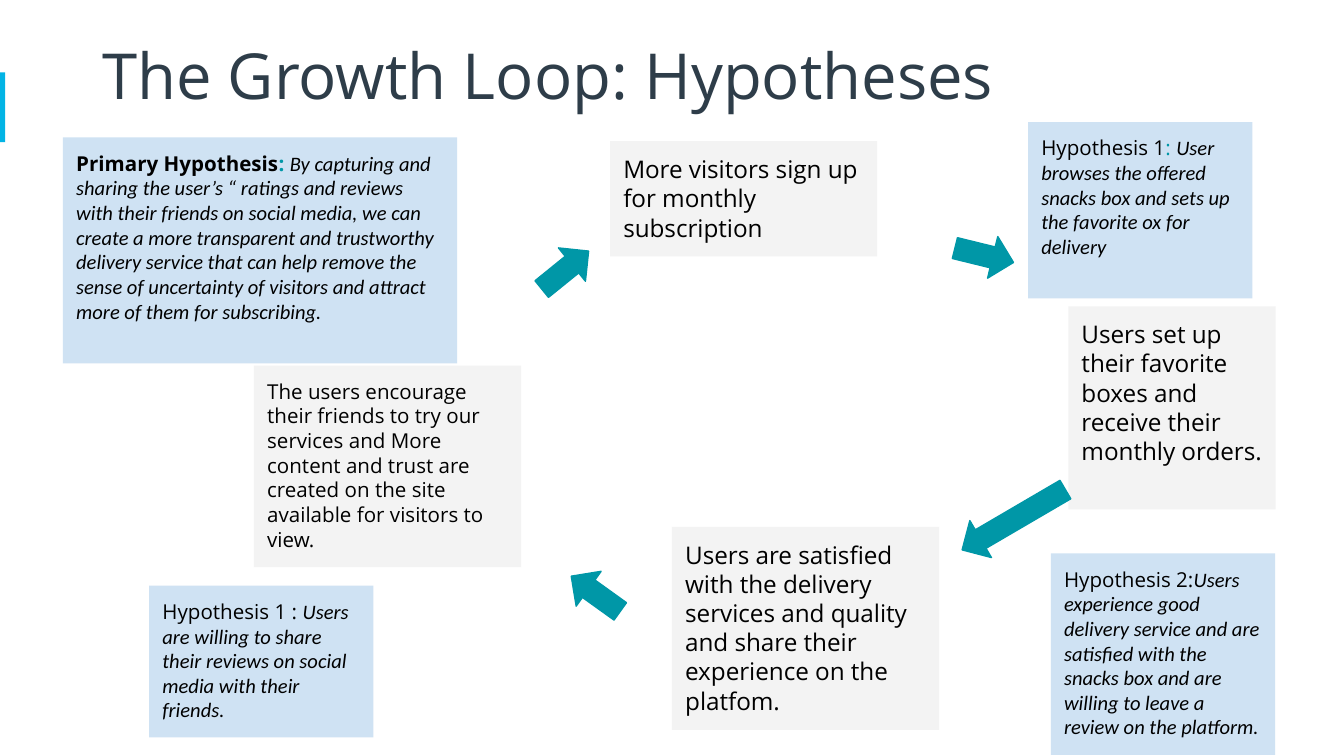
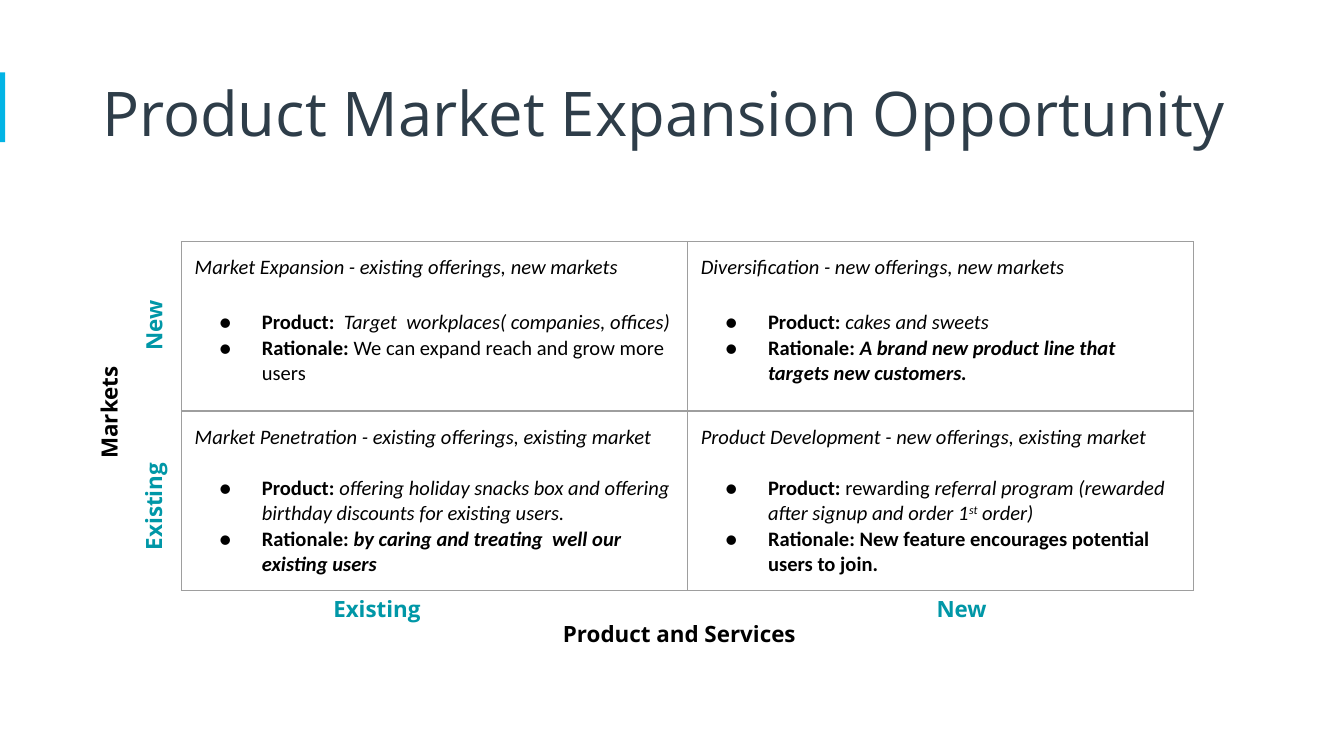
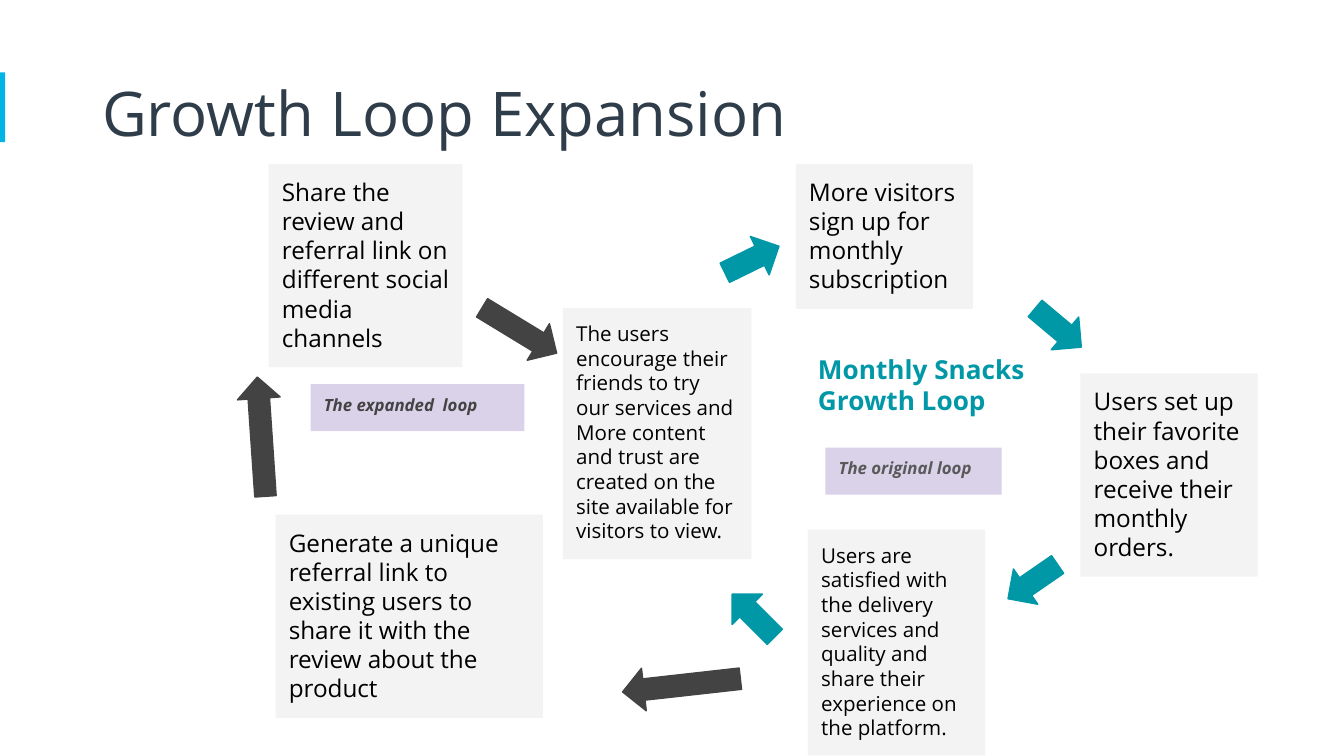
"""Build three slides on the growth loop of a snack box service."""
import dataclasses

import lxml.etree
import pptx
import pptx.dml.color
import pptx.enum.shapes
import pptx.enum.text
import pptx.oxml.ns
import pptx.util

Cm = pptx.util.Cm
Pt = pptx.util.Pt
SHAPES = pptx.enum.shapes.MSO_SHAPE
qn = pptx.oxml.ns.qn


@dataclasses.dataclass(frozen=True)
class Theme:
    """Colours, fonts and type sizes of the deck."""

    ink: str = "000000"
    title: str = "2E3D49"
    accent: str = "02B4E5"
    teal: str = "0097A7"
    step: str = "F3F3F3"
    hypothesis: str = "CFE2F3"
    tag: str = "D9D2E9"
    tag_ink: str = "595959"
    dark: str = "434343"
    border: str = "9E9E9E"
    sans: str = "Open Sans"
    humanist: str = "Calibri"
    large_title: int = 34
    title_size: int = 33
    loop_name: int = 14
    large: int = 13
    label: int = 12
    small: int = 11
    tag_size: int = 9
    border_width: float = 0.75


THEME = Theme()
ITALIC = {"bold": False, "italic": True}
BOLD = {"bold": True, "italic": False}
BOLD_ITALIC = {"bold": True, "italic": True}
QUOTE = {"name": THEME.humanist, "color": THEME.ink, **ITALIC}
INSETS = {side: Cm(0.25) for side in
          ("margin_left", "margin_top", "margin_right", "margin_bottom")}

SIGN_UP = "More visitors sign up for monthly subscription"
SET_UP = "Users set up their favorite boxes and receive their monthly orders."
ENCOURAGE = ("The users encourage their friends to try our services and More content "
             "and trust are created on the site available for visitors to view.")


def rgb(code):
    """Return a colour object for a hex code."""
    return pptx.dml.color.RGBColor.from_string(code)


def set_format(target, values):
    """Set each named attribute of the target."""
    for name, value in values.items():
        setattr(target, name, value)


def text_style(size, color=THEME.ink, name=THEME.sans, bold=False, italic=False):
    """Return the format values of a run of text."""
    return {"size": Pt(size), "color": color, "name": name, "bold": bold, "italic": italic}


def write_spans(para, spans, style):
    """Add (text, changes) spans to a paragraph."""
    for text, changes in spans:
        values = {**style, **changes}
        color = values.pop("color")
        baseline = values.pop("baseline", None)
        span = para.add_run()
        span.text = text
        set_format(span.font, values)
        span.font.color.rgb = rgb(color)
        if baseline:
            span.font._element.set("baseline", baseline)


def fill_frame(frame, spans, style, **changes):
    """Format a text frame and write its one paragraph."""
    set_format(frame, {
        **INSETS,
        "word_wrap": True,
        "vertical_anchor": pptx.enum.text.MSO_ANCHOR.TOP,
        "auto_size": pptx.enum.text.MSO_AUTO_SIZE.SHAPE_TO_FIT_TEXT,
        **changes,
    })
    para = frame.paragraphs[0]
    para.alignment = pptx.enum.text.PP_ALIGN.LEFT
    write_spans(para, spans, style)


def add_solid(page, kind, place, color):
    """Add a plain filled shape without line or shadow."""
    solid = page.shapes.add_shape(kind, *map(Cm, place))
    solid.shadow.inherit = False
    solid.fill.solid()
    solid.fill.fore_color.rgb = rgb(color)
    solid.line.fill.background()
    return solid


def add_box(page, place, color, spans, style):
    """Add a filled rectangle with text."""
    box = add_solid(page, SHAPES.RECTANGLE, place, color)
    fill_frame(box.text_frame, spans, style)


def add_step(page, place, text, size=THEME.large):
    """Add a step of the loop."""
    add_box(page, place, THEME.step, [(text, {})], text_style(size))


def add_hypothesis(page, place, *spans):
    """Add a hypothesis box."""
    add_box(page, place, THEME.hypothesis, spans, text_style(THEME.small))


def add_tag(page, place, text, color):
    """Add a small tag that names a loop."""
    style = text_style(THEME.tag_size, color, **BOLD_ITALIC)
    add_box(page, place, THEME.tag, [(text, {})], style)


def add_arrow(page, left, top, rotation, length=1.14, color=THEME.teal):
    """Add a block arrow that points left before its rotation."""
    arrow = add_solid(page, SHAPES.LEFT_ARROW, (left, top, length, 0.81), color)
    arrow.rotation = rotation
    arrow.line.color.rgb = rgb(color)
    arrow.line.width = Pt(THEME.border_width)


def add_label(page, place, text, color, size=THEME.label, rotation=0):
    """Add a bold text label."""
    label = page.shapes.add_textbox(*map(Cm, place))
    label.rotation = rotation
    fill_frame(label.text_frame, [(text, {})], text_style(size, color, bold=True))


def add_page(deck, title, top=1.32, size=THEME.title_size):
    """Add a slide with its title."""
    page = deck.slides.add_slide(deck.slide_layouts[5])
    box = page.shapes.title
    set_format(box, {"left": Cm(1.68), "top": Cm(top), "width": Cm(22.05), "height": Cm(1.6)})
    fill_frame(box.text_frame, [(title, {})], text_style(size, THEME.title),
               vertical_anchor=pptx.enum.text.MSO_ANCHOR.MIDDLE,
               auto_size=pptx.enum.text.MSO_AUTO_SIZE.NONE)
    return page


def add_layout_band(page):
    """Put the accent band on the layout that the slides share."""
    band = add_solid(page, SHAPES.RECTANGLE, (0, 1.37, 0.1, 1.32), THEME.accent)
    page.slide_layout.shapes.element.append(band.element)


def set_borders(cell):
    """Draw the four borders of a table cell."""
    properties = cell._tc.get_or_add_tcPr()
    for position, side in enumerate(("lnL", "lnR", "lnT", "lnB")):
        line = lxml.etree.Element(qn(f"a:{side}"), w=str(Pt(THEME.border_width)))
        solid = lxml.etree.SubElement(line, qn("a:solidFill"))
        lxml.etree.SubElement(solid, qn("a:srgbClr"), val=THEME.border)
        properties.insert(position, line)


def set_bullet(para):
    """Give a paragraph a hanging round bullet."""
    properties = para._p.get_or_add_pPr()
    properties.set("marL", str(Cm(1.27)))
    properties.set("indent", str(-Cm(0.81)))
    color = lxml.etree.SubElement(properties, qn("a:buClr"))
    lxml.etree.SubElement(color, qn("a:srgbClr"), val=THEME.ink)
    lxml.etree.SubElement(properties, qn("a:buFont"), typeface=THEME.humanist)
    lxml.etree.SubElement(properties, qn("a:buChar"), char="●")


def fill_cell(cell, heading, bullets, gap):
    """Write a heading and its bullets in a table cell."""
    cell.fill.background()
    set_borders(cell)
    set_format(cell, INSETS)
    style = text_style(THEME.small, name=THEME.humanist)
    first = cell.text_frame.paragraphs[0]
    first.space_after = Pt(gap)
    write_spans(first, [(heading, ITALIC)], style)
    for spans in bullets:
        para = cell.text_frame.add_paragraph()
        set_bullet(para)
        write_spans(para, spans, style)


def add_matrix(page, place, heights, gaps, rows):
    """Add the product and market table."""
    matrix = page.shapes.add_table(len(rows), len(rows[0]), *map(Cm, place)).table
    set_format(matrix, {"first_row": False, "horz_banding": False})
    for row, height, gap, entries in zip(matrix.rows, heights, gaps, rows):
        row.height = Cm(height)
        for cell, (heading, *bullets) in zip(row.cells, entries):
            fill_cell(cell, heading, bullets, gap)


def build_hypotheses(deck):
    """Build the loop with its hypotheses."""
    page = add_page(deck, "The Growth Loop: Hypotheses", 0.6, THEME.large_title)
    add_layout_band(page)
    add_step(page, (11.53, 2.67, 5.05, 2.18), SIGN_UP)
    add_step(page, (20.19, 5.79, 3.92, 3.84), SET_UP)
    add_step(page, (12.7, 9.96, 5.05, 3.84),
             "Users are satisfied with the delivery services and quality "
             "and share their experience on the platfom.")
    add_step(page, (4.8, 6.91, 5.05, 3.81), ENCOURAGE, THEME.small)
    for arrow in ((18.03, 4.42, 193.8), (10.69, 10.82, 35.7),
                  (10.11, 4.7, 141), (18.03, 9.42, 329.7, 2.26)):
        add_arrow(page, *arrow)
    add_hypothesis(
        page, (1.19, 2.6, 7.45, 4.27),
        ("Primary Hypothesis", BOLD), (": ", {"color": THEME.teal, **BOLD}),
        ("By capturing and sharing the user’s “ ratings and reviews with their friends on "
         "social media, we can create a more transparent and trustworthy delivery service "
         "that can help remove the sense of uncertainty of visitors and attract more of "
         "them for subscribing.", QUOTE))
    add_hypothesis(
        page, (2.82, 11.07, 4.24, 2.87), ("Hypothesis 1 : ", {}),
        ("Users are willing to share their reviews on social media with their friends.", QUOTE))
    add_hypothesis(
        page, (19.86, 10.46, 4.24, 3.81), ("Hypothesis 2:", {}),
        ("Users experience good delivery service and are satisfied with the snacks box "
         "and are willing to leave a review on the platform.", QUOTE))
    add_hypothesis(
        page, (19.43, 2.31, 4.24, 3.33), ("Hypothesis 1", {}), (": ", {"color": THEME.teal}),
        ("User browses the offered snacks box and sets up the favorite ox for delivery", QUOTE))


def build_opportunity(deck):
    """Build the product and market matrix with its axes."""
    page = add_page(deck, "Product Market Expansion Opportunity")
    new_markets = [
        ("Market Expansion - existing offerings, new markets",
         [("Product:  ", BOLD), ("Target  workplaces( companies, offices)", ITALIC)],
         [("Rationale: ", BOLD), ("We can expand reach and grow more users", {})]),
        ("Diversification - new offerings, new markets",
         [("Product: ", BOLD), ("cakes and sweets", ITALIC)],
         [("Rationale: ", BOLD),
          ("A brand new product line that targets new customers.", BOLD_ITALIC)]),
    ]
    existing_markets = [
        ("Market Penetration - existing offerings, existing market",
         [("Product: ", BOLD),
          ("offering holiday snacks box and offering birthday discounts for existing users.",
           ITALIC)],
         [("Rationale: ", BOLD),
          ("by caring and treating  well our existing users", BOLD_ITALIC)]),
        ("Product Development - new offerings, existing market",
         [("Product:", BOLD), (" rewarding ", {}),
          ("referral program (rewarded after signup and order 1", ITALIC),
          ("st", {"baseline": "30000", **ITALIC}), (" order)", ITALIC)],
         [("Rationale: New feature encourages potential users to join.", BOLD)]),
    ]
    add_matrix(page, (3.43, 4.57, 19.13, 6.5), (3.2, 3.3), (16, 14),
               (new_markets, existing_markets))
    for text, color, left, top, width, rotation in (
            ("Product and Services", THEME.ink, 10.39, 11.48, 5.21, 0),
            ("Markets", THEME.ink, 0.61, 6.96, 2.9, 270),
            ("Existing", THEME.teal, 6.05, 11, 2.46, 0),
            ("New", THEME.teal, 17.45, 11, 1.55, 0),
            ("Existing", THEME.teal, 1.68, 8.92, 2.44, 270),
            ("New", THEME.teal, 2.13, 5.59, 1.55, 270)):
        add_label(page, (left, top, width, 1.02), text, color, rotation=rotation)


def build_expansion(deck):
    """Build the first loop beside the expanded one."""
    page = add_page(deck, "Growth Loop Expansion")
    for arrow in ((19.43, 5.79, 220), (13.67, 11.23, 45),
                  (13.64, 4.5, 153.9), (18.95, 10.59, 325.4)):
        add_arrow(page, *arrow)
    add_label(page, (15.21, 6.43, 4.78, 1.7), "Monthly Snacks Growth Loop",
              THEME.teal, THEME.loop_name)
    add_step(page, (15.04, 3.1, 3.35, 2.74), SIGN_UP)
    add_step(page, (10.64, 5.82, 3.56, 4.75), ENCOURAGE, THEME.small)
    add_step(page, (5.21, 9.73, 5.05, 3.84),
             "Generate a unique referral link to existing users to share it "
             "with the review about the product")
    add_step(page, (15.27, 10.01, 3.35, 4.27),
             "Users are satisfied with the delivery services and quality "
             "and share their experience on the platform.", THEME.small)
    add_step(page, (20.42, 7.06, 3.35, 3.84), SET_UP)
    add_step(page, (5.08, 3.1, 3.66, 3.84),
             "Share the review and referral link on different social media channels")
    for arrow in ((11.76, 12.55, 353.6, 2.24), (3.81, 7.85, 86.1, 2.26),
                  (8.99, 5.84, 211.3, 1.65)):
        add_arrow(page, *arrow, color=THEME.dark)
    add_tag(page, (15.6, 8.46, 3.33, 0.89), "The original loop", THEME.tag_ink)
    add_tag(page, (5.87, 7.26, 4.04, 0.89), "The expanded  loop", THEME.dark)


def main():
    """Build and save the deck."""
    deck = pptx.Presentation()
    set_format(deck, {"slide_width": Cm(25.4), "slide_height": Cm(14.29)})
    build_hypotheses(deck)
    build_opportunity(deck)
    build_expansion(deck)
    deck.save("out.pptx")


if __name__ == "__main__":
    main()
